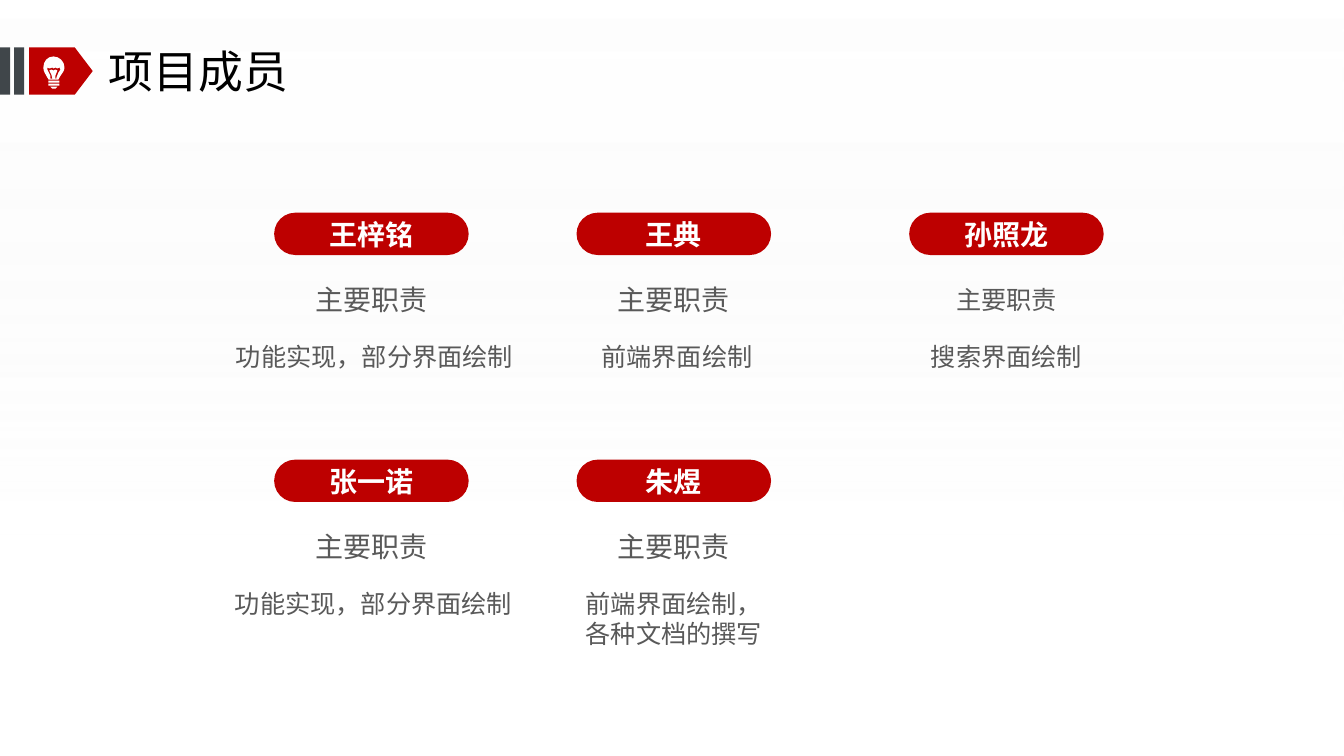
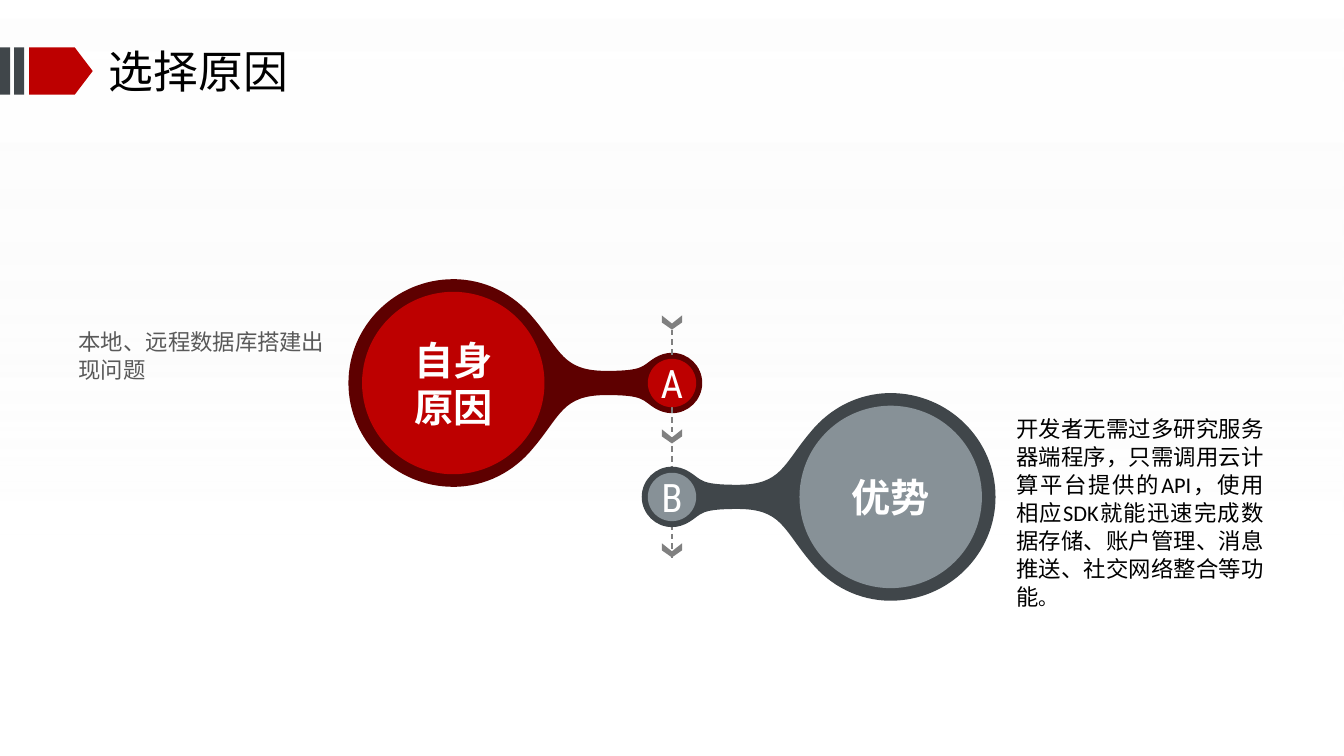
from dataclasses import dataclass

from lxml import etree
from pptx import Presentation
from pptx.dml.color import RGBColor
from pptx.enum.dml import MSO_LINE
from pptx.enum.shapes import MSO_CONNECTOR, MSO_SHAPE
from pptx.enum.text import MSO_ANCHOR, PP_ALIGN
from pptx.oxml.ns import qn
from pptx.shapes.autoshape import Shape
from pptx.slide import Slide
from pptx.util import Inches, Pt

RECTANGLE, PENTAGON = MSO_SHAPE.RECTANGLE, MSO_SHAPE.PENTAGON
PILL, OVAL = MSO_SHAPE.ROUNDED_RECTANGLE, MSO_SHAPE.OVAL
LEFT, CENTER, JUSTIFY = PP_ALIGN.LEFT, PP_ALIGN.CENTER, PP_ALIGN.JUSTIFY
TOP, MIDDLE = MSO_ANCHOR.TOP, MSO_ANCHOR.MIDDLE

Point = tuple[float, float]
Box = tuple[float, float, float, float]


@dataclass(frozen=True)
class Theme:
    red: str = "BD0000"
    dark_red: str = "5E0000"
    slate: str = "40464A"
    steel: str = "879197"
    grey: str = "808080"
    text: str = "595959"
    black: str = "000000"
    white: str = "FFFFFF"
    shade: str = "F2F2F2"
    font: str = "Noto Sans CJK SC"
    letter_font: str = "Roboto Condensed"
    body_font: str = "Calibri"
    title_size: float = 32
    disc_size: float = 28
    name_size: float = 20
    duty_size: float = 18
    note_size: float = 16
    stop_size: float = 14


THEME = Theme()
WIDTH, HEIGHT = 40 / 3, 7.5


@dataclass(frozen=True)
class Style:
    size: float
    color: str
    font: str = THEME.font
    bold: bool = False
    align: PP_ALIGN = CENTER
    anchor: MSO_ANCHOR = MIDDLE
    line_spacing: float | None = None


@dataclass(frozen=True)
class Member:
    name: str
    duties: tuple[str, ...]
    column: int
    row: int
    label_size: float = THEME.name_size
    duty_shift: float = 0


@dataclass(frozen=True)
class Reason:
    letter: str
    heading: str
    heading_style: Style
    center_y: float
    direction: int  # -1 puts the large disc on the left, 1 on the right
    rim: str
    face: str


TITLE = Style(THEME.title_size, THEME.black, align=LEFT)
NAME = Style(THEME.name_size, THEME.white, bold=True)
DUTY = Style(THEME.duty_size, THEME.text, anchor=TOP, line_spacing=21.4)
HEADING = Style(THEME.disc_size, THEME.white, bold=True)
TWO_LINE_HEADING = Style(THEME.disc_size, THEME.white, bold=True, line_spacing=33.6)
LETTER = Style(THEME.disc_size, THEME.white, THEME.letter_font)
NOTE = Style(THEME.note_size, THEME.text, align=JUSTIFY, anchor=TOP, line_spacing=20)
BODY = Style(THEME.note_size, THEME.black, THEME.body_font, align=JUSTIFY,
             anchor=TOP, line_spacing=20)

# Member grid
COLUMNS, ROWS = (2.72, 5.72, 9.02), (2.11, 4.56)
PILL_WIDTH, PILL_HEIGHT = 1.93, 0.42
MEMBERS = (
    Member("王梓铭", ("功能实现，部分界面绘制",), 0, 0, duty_shift=0.03),
    Member("王典", ("前端界面绘制",), 1, 0, duty_shift=0.03),
    Member("孙照龙", ("搜索界面绘制",), 2, 0, THEME.duty_size),
    Member("张一诺", ("功能实现，部分界面绘制",), 0, 1, duty_shift=0.02),
    Member("朱煜", ("前端界面绘制，", "各种文档的撰写"), 1, 1),
)

# Reason diagram: half outline measured from the small disc towards the large one
AXIS_X, DISC_OFFSET = WIDTH / 2, 2.17
LARGE_DISC, SMALL_DISC = 1.81, 0.48
RIM_HALF = (
    (-0.3, 0),
    (-0.3, -0.17), (-0.16, -0.3), (0, -0.3),
    (0.06, -0.3), (0.12, -0.28), (0.17, -0.25),
    (0.3, -0.17), (0.27, -0.12), (0.65, -0.12),
    (1.09, -0.12), (1.1, -0.32), (1.38, -0.65),
    (1.57, -0.88), (1.85, -1.03), (2.17, -1.03),
    (2.74, -1.03), (3.21, -0.57), (3.21, 0),
)
RIM = RIM_HALF + tuple((x, -y) for x, y in RIM_HALF[-2::-1])
CHEVRON = ((0, 0.08), (-0.1, 0), (-0.1, 0.07), (0, 0.14), (0.1, 0.07), (0.1, 0))
REASONS = (
    Reason("A", "自身原因", TWO_LINE_HEADING, 3.8, -1, THEME.dark_red, THEME.red),
    Reason("B", "优势", HEADING, 4.93, 1, THEME.slate, THEME.steel),
)

# Bulb icon
GLASS = (
    (0.48, 0.79),
    (0.48, 0.79), (0.48, 0.77), (0.47, 0.77),
    (0.45, 0.73), (0.43, 0.71), (0.43, 0.67),
    (0.43, 0.61), (0.47, 0.56), (0.53, 0.56),
    (0.59, 0.56), (0.64, 0.61), (0.64, 0.67),
    (0.64, 0.71), (0.61, 0.73), (0.59, 0.77),
    (0.59, 0.77), (0.58, 0.79), (0.58, 0.79),
)
FILAMENT = (
    (0.6, 0.69), (0.58, 0.72), (0.56, 0.77), (0.56, 0.78), (0.55, 0.78),
    (0.55, 0.75), (0.57, 0.7), (0.55, 0.69), (0.53, 0.7), (0.51, 0.69),
    (0.49, 0.7), (0.51, 0.74), (0.52, 0.78), (0.5, 0.78), (0.5, 0.75),
    (0.47, 0.69), (0.47, 0.67), (0.49, 0.68), (0.52, 0.67), (0.53, 0.68),
    (0.55, 0.67), (0.57, 0.68), (0.59, 0.67),
)
BULB_FOOT = ((0.5, 0.86), (0.57, 0.86), (0.55, 0.88), (0.52, 0.88))


def rgb(color: str) -> RGBColor:
    return RGBColor.from_string(color)


def inches(*lengths: float) -> list[Inches]:
    return [Inches(length) for length in lengths]


def paint(shape: Shape, color: str) -> None:
    shape.shadow.inherit = False
    shape.fill.solid()
    shape.fill.fore_color.rgb = rgb(color)
    shape.line.fill.background()


def add_block(slide: Slide, kind: MSO_SHAPE, box: Box, color: str) -> Shape:
    shape = slide.shapes.add_shape(kind, *inches(*box))
    paint(shape, color)
    return shape


def add_outline(slide: Slide, contours: list, color: str, curves: int = 0) -> None:
    """Draw closed contours; the first `curves` triples of points become cubic curves."""
    start, *rest = [[inches(*point) for point in contour] for contour in contours]
    builder = slide.shapes.build_freeform(*start[0], scale=1.0)
    builder.add_line_segments(start[1:], close=True)
    for contour in rest:
        builder.move_to(*contour[0])
        builder.add_line_segments(contour[1:], close=True)
    shape = builder.convert_to_shape()
    paint(shape, color)
    segments = list(shape.element.iter(qn("a:lnTo")))
    for index in range(0, 3 * curves, 3):
        curve = etree.Element(qn("a:cubicBezTo"))
        segments[index].addprevious(curve)
        for segment in segments[index:index + 3]:
            curve.append(segment[0])
            segment.getparent().remove(segment)


def write(shape: Shape, lines: tuple[str, ...], style: Style, inset: float = 0) -> None:
    frame = shape.text_frame
    frame.word_wrap = True
    frame.vertical_anchor = style.anchor
    frame.margin_left = frame.margin_right = Inches(inset)
    frame.margin_top = frame.margin_bottom = 0
    for index, line in enumerate(lines):
        paragraph = frame.add_paragraph() if index else frame.paragraphs[0]
        paragraph.add_run().text = line
        paragraph.alignment = style.align
        if style.line_spacing:
            paragraph.line_spacing = Pt(style.line_spacing)
        font = paragraph.font
        font.name, font.size, font.bold = style.font, Pt(style.size), style.bold
        font.color.rgb = rgb(style.color)
    # East Asian typeface
    for properties in shape.element.iter(qn("a:defRPr")):
        etree.SubElement(properties, qn("a:ea"), typeface=THEME.font)


def add_text(slide: Slide, box: Box, lines: tuple[str, ...], style: Style) -> Shape:
    shape = slide.shapes.add_textbox(*inches(*box))
    write(shape, lines, style)
    return shape


def add_base(presentation: Presentation, title: str) -> Slide:
    slide = presentation.slides.add_slide(presentation.slide_layouts[6])
    # Faint background gradient
    backdrop = add_block(slide, RECTANGLE, (0, 0, WIDTH, HEIGHT), THEME.white)
    backdrop.fill.gradient()
    backdrop.fill.gradient_angle = 270
    stops = zip(backdrop.fill.gradient_stops, (THEME.white, THEME.shade), (0, 0.71))
    for stop, color, position in stops:
        stop.color.rgb, stop.position = rgb(color), position
    for node, alpha in zip(backdrop.element.iter(qn("a:srgbClr")), ("55000", "0")):
        etree.SubElement(node, qn("a:alpha"), val=alpha)
    # Title band
    arrow = add_block(slide, PENTAGON, (0.29, 0.47, 0.63, 0.47), THEME.red)
    arrow.adjustments[0] = 0.38
    for left in (0.14, 0):
        add_block(slide, RECTANGLE, (left, 0.47, 0.1, 0.47), THEME.slate)
    add_text(slide, (1.08, 0.43, 5.51, 0.55), (title,), TITLE)
    return slide


def add_bulb(slide: Slide) -> None:
    bars = [[(0.48, top), (0.59, top), (0.59, top + 0.02), (0.48, top + 0.02)]
            for top in (0.8, 0.83)]
    add_outline(slide, [GLASS, FILAMENT, *bars, BULB_FOOT], THEME.white,
                curves=len(GLASS) // 3)


def add_member(slide: Slide, member: Member) -> None:
    left, top = COLUMNS[member.column], ROWS[member.row]
    center = left + PILL_WIDTH / 2
    pill = add_block(slide, PILL, (left, top, PILL_WIDTH, PILL_HEIGHT), THEME.red)
    pill.adjustments[0] = 0.5
    write(pill, (member.name,), NAME)
    add_text(slide, (center - 1.12, top + 0.65, 2.24, 0.42), ("主要职责",),
             Style(member.label_size, THEME.text))
    add_text(slide, (center + member.duty_shift - 1.49, top + 1.28, 2.98,
                     0.3 * len(member.duties)), member.duties, DUTY)


def add_rim(slide: Slide, reason: Reason) -> None:
    outline = [(AXIS_X + reason.direction * x, reason.center_y + y) for x, y in RIM]
    add_outline(slide, [outline], reason.rim, curves=len(RIM) // 3)


def add_discs(slide: Slide, reason: Reason) -> None:
    large_x = AXIS_X + reason.direction * DISC_OFFSET
    for center, size, label, style, inset in (
            (large_x, LARGE_DISC, reason.heading, reason.heading_style, 0.14),
            (AXIS_X, SMALL_DISC, reason.letter, LETTER, 0)):
        box = (center - size / 2, reason.center_y - size / 2, size, size)
        write(add_block(slide, OVAL, box, reason.face), (label,), style, inset)


def add_axis(slide: Slide) -> None:
    line = slide.shapes.add_connector(
        MSO_CONNECTOR.STRAIGHT, *inches(AXIS_X, 3.27, AXIS_X, 5.54))
    line.line.color.rgb = rgb(THEME.grey)
    line.line.width = Pt(1)
    line.line.dash_style = MSO_LINE.DASH
    etree.SubElement(line.element.spPr, qn("a:effectLst"))
    for index in range(3):
        top = 3.13 + 1.13 * index
        add_outline(slide, [[(AXIS_X + x, top + y) for x, y in CHEVRON]], THEME.grey)


def build_members(presentation: Presentation) -> None:
    slide = add_base(presentation, "项目成员")
    add_bulb(slide)
    for member in MEMBERS:
        add_member(slide, member)


def build_reasons(presentation: Presentation) -> None:
    slide = add_base(presentation, "选择原因")
    add_text(slide, (0.78, 3.24, 2.44, 0.56), ("本地、远程数据库搭建出现问题",), NOTE)
    advantage = add_text(slide, (10.08, 4.11, 2.46, 1.96), (
        "开发者无需过多研究服务器端程序，只需调用云计算平台提供的API，使用相应SDK"
        "就能迅速完成数据存储、账户管理、消息推送、社交网络整合等功能",), BODY)
    full_stop = advantage.text_frame.paragraphs[0].add_run()
    full_stop.text = "。"
    full_stop.font.size = Pt(THEME.stop_size)
    # Diagram, back to front
    first, second = REASONS
    add_rim(slide, first)
    add_axis(slide)
    add_discs(slide, first)
    add_rim(slide, second)
    add_discs(slide, second)


def main() -> None:
    presentation = Presentation()
    presentation.slide_width, presentation.slide_height = inches(WIDTH, HEIGHT)
    build_members(presentation)
    build_reasons(presentation)
    presentation.save("out.pptx")


if __name__ == "__main__":
    main()
